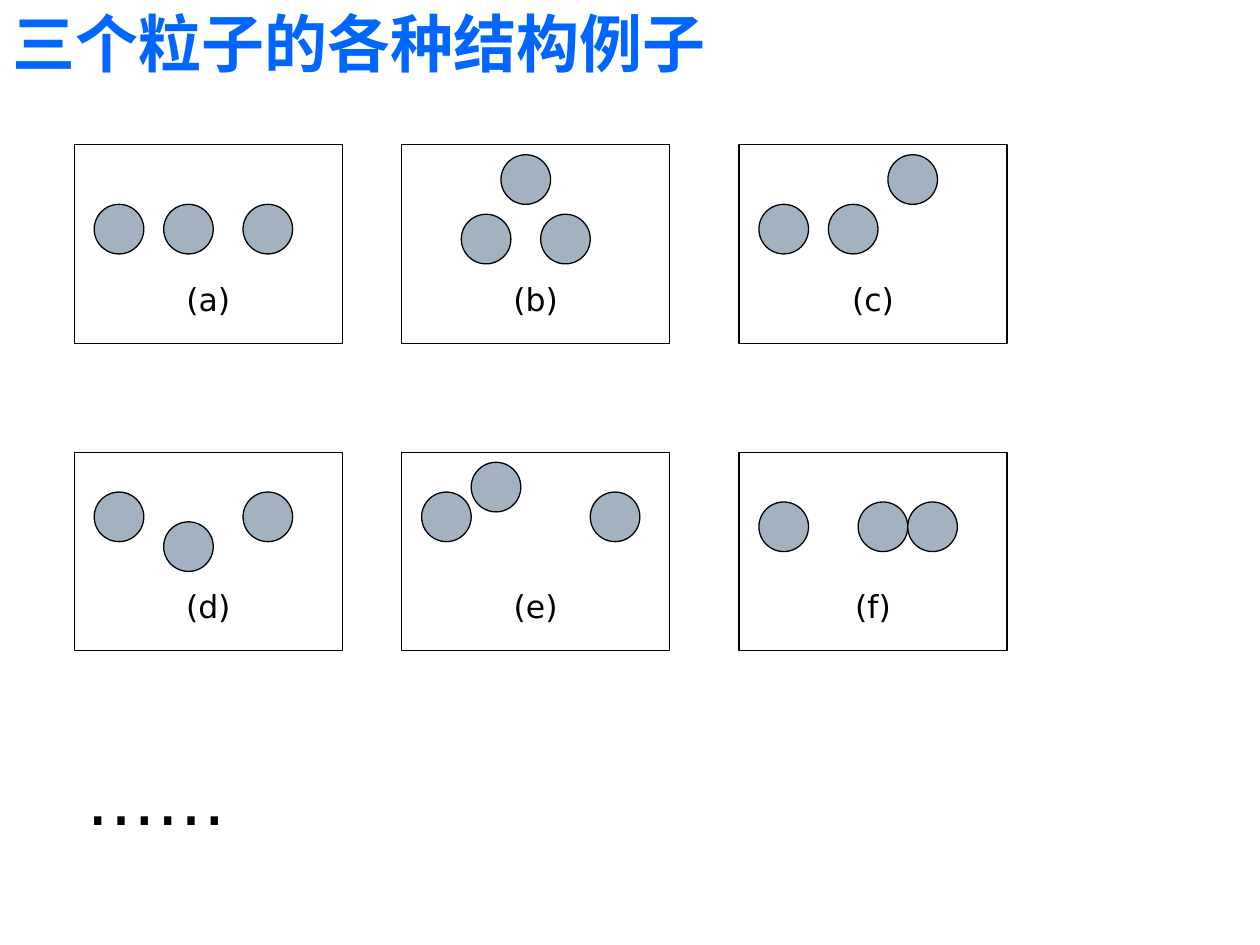
"""Build a slide showing example arrangements of three particles."""
import pptx
import pptx.dml.color
import pptx.enum.shapes
import pptx.enum.text
import pptx.util

Cm = pptx.util.Cm
Pt = pptx.util.Pt
SHAPE = pptx.enum.shapes.MSO_SHAPE
ALIGN = pptx.enum.text.PP_ALIGN
ANCHOR = pptx.enum.text.MSO_ANCHOR

TITLE = "三个粒子的各种结构例子"
MORE = "……"
STRUCTURES = [
    ("(a)", [(0.4, 1.2), (1.8, 1.2), (3.4, 1.2)]),
    ("(b)", [(1.2, 1.4), (2.0, 0.2), (2.8, 1.4)]),
    ("(c)", [(0.4, 1.2), (1.8, 1.2), (3.0, 0.2)]),
    ("(d)", [(0.4, 0.8), (1.8, 1.4), (3.4, 0.8)]),
    ("(e)", [(0.4, 0.8), (1.4, 0.2), (3.8, 0.8)]),
    ("(f)", [(0.4, 1.0), (2.4, 1.0), (3.4, 1.0)]),
]
COLUMNS = [1.5, 8.1, 14.9]
ROWS = [2.92, 9.12]
FRAME_WIDTH, FRAME_HEIGHT = 5.4, 4.0
DIAMETER = 1.0

TITLE_FONT = {"name": "DejaVu Sans", "size": Pt(36), "bold": True}
LABEL_FONT = {"name": "DejaVu Sans", "size": Pt(18)}
MORE_FONT = {"name": "DejaVu Sans", "size": Pt(40)}


def rgb(value):
    return pptx.dml.color.RGBColor.from_string(value)


def apply(target, values):
    for attribute, value in values.items():
        setattr(target, attribute, value)


def write(holder, text, font, color, align, frame):
    apply(holder.text_frame, frame)
    paragraph = holder.text_frame.paragraphs[0]
    paragraph.alignment = align
    run = paragraph.add_run()
    run.text = text
    apply(run.font, font)
    run.font.color.rgb = rgb(color)


def outline(slide, kind, left, top, width, height, fill=None):
    shape = slide.shapes.add_shape(kind, Cm(left), Cm(top), Cm(width), Cm(height))
    shape.shadow.inherit = False
    if fill:
        shape.fill.solid()
        shape.fill.fore_color.rgb = rgb(fill)
    else:
        shape.fill.background()
    shape.line.color.rgb = rgb("000000")
    shape.line.width = Pt(0.75)
    return shape


def draw_structure(slide, label, particles, left, top):
    frame = outline(slide, SHAPE.RECTANGLE, left, top, FRAME_WIDTH, FRAME_HEIGHT)
    write(frame, label, LABEL_FONT, "000000", ALIGN.CENTER,
          {"vertical_anchor": ANCHOR.BOTTOM, "margin_bottom": Cm(0.52), "word_wrap": False})
    for x, y in particles:
        outline(slide, SHAPE.OVAL, left + x, top + y, DIAMETER, DIAMETER, "A3B2C1")


def main():
    deck = pptx.Presentation()
    apply(deck, {"slide_width": Cm(25.4), "slide_height": Cm(19.05)})
    slide = deck.slides.add_slide(deck.slide_layouts[6])

    title = slide.shapes.add_textbox(Cm(0), Cm(0), Cm(22.6), Cm(1.75))
    write(title, TITLE, TITLE_FONT, "0066FF", ALIGN.LEFT,
          {"vertical_anchor": ANCHOR.BOTTOM, "word_wrap": True})

    for index, (label, particles) in enumerate(STRUCTURES):
        row, column = divmod(index, len(COLUMNS))
        draw_structure(slide, label, particles, COLUMNS[column], ROWS[row])

    more = slide.shapes.add_textbox(Cm(COLUMNS[0]), Cm(15.11), Cm(FRAME_WIDTH), Cm(1.96))
    write(more, MORE, MORE_FONT, "000000", ALIGN.LEFT, {"word_wrap": True})

    deck.save("out.pptx")


if __name__ == "__main__":
    main()
